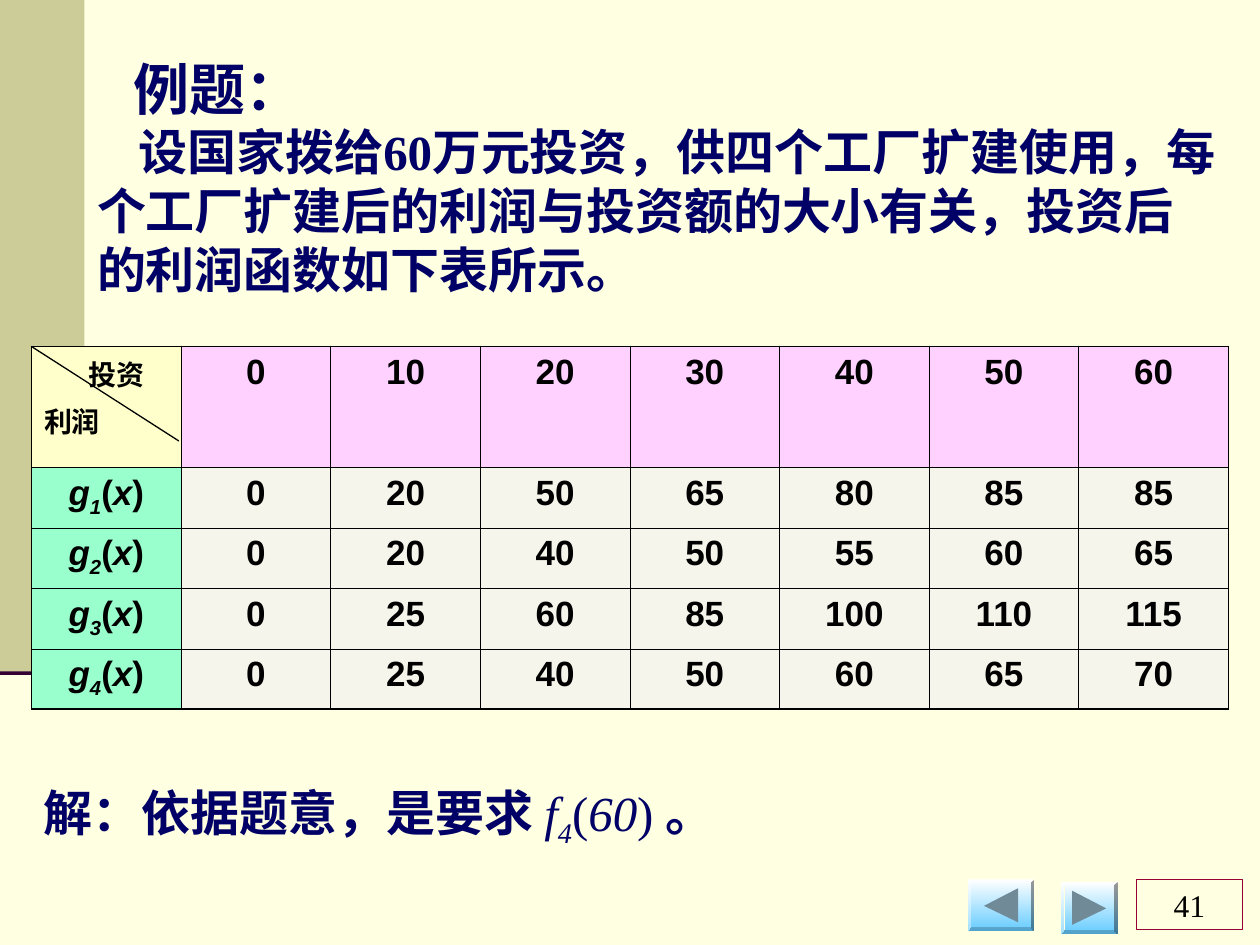
from lxml import etree
from pptx import Presentation
from pptx import util as u
from pptx.dml.color import RGBColor
from pptx.enum import shapes, text
from pptx.oxml.ns import qn

COLORS = {
    "background": "FFFFE1", "band": "CCCC99", "band_line": "330033",
    "navy": "000066", "black": "000000", "page_border": "990033",
    "button_top": "FFFFFF", "button_bottom": "66CCFF", "arrow": "708A98",
    "corner": "FFFFCC", "header": "FFD1FF", "label": "99FFCC", "value": "F5F5EB",
}
INVESTMENTS = [0, 10, 20, 30, 40, 50, 60]
PROFITS = [
    [0, 20, 50, 65, 80, 85, 85],
    [0, 20, 40, 50, 55, 60, 65],
    [0, 25, 60, 85, 100, 110, 115],
    [0, 25, 40, 50, 60, 65, 70],
]
SERIF, SANS = "Times New Roman", "Arial"
THIN, THICK = 0.45, 1.08


def color(name):
    return RGBColor.from_string(COLORS[name])


def inches(*values):
    return [u.Inches(value) for value in values]


def format_paragraph(paragraph, font_name, size, color_name, bold=None,
                     align=text.PP_ALIGN.LEFT, indent=0):
    paragraph.alignment = align
    if indent:
        paragraph._p.get_or_add_pPr().set("indent", str(u.Inches(indent)))
    font = paragraph.font
    font.name, font.size, font.bold = font_name, u.Pt(size), bold
    font.color.rgb = color(color_name)


def add_runs(paragraph, pieces):
    """Add (text, style) pieces; style letters: b bold, i italic, s subscript."""
    for content, style in pieces:
        run = paragraph.add_run()
        run.text = content
        run.font.bold = "b" in style
        run.font.italic = "i" in style
        if "s" in style:
            run.font._element.set("baseline", "-25000")


def add_line(slide, start, end, color_name, width):
    line = slide.shapes.add_connector(
        shapes.MSO_CONNECTOR.STRAIGHT, *inches(*start, *end))
    line.line.color.rgb = color(color_name)
    line.line.width = u.Pt(width)
    etree.SubElement(line._element.spPr, qn("a:effectLst"))


def add_preset(slide, preset, box):
    """Add a shape with no shadow, fill or line."""
    shape = slide.shapes.add_shape(preset, *inches(*box))
    shape.shadow.inherit = False
    shape.fill.background()
    shape.line.fill.background()
    return shape


def add_side_band(slide):
    add_line(slide, (0, 5.33), (0.67, 5.33), "band_line", 3.5)
    band = add_preset(slide, shapes.MSO_SHAPE.RECTANGLE, (0, 0, 0.67, 5.33))
    band.fill.solid()
    band.fill.fore_color.rgb = color("band")


def add_button(slide, box, points):
    """Add a bevelled button with a triangle through the given points."""
    button = add_preset(slide, shapes.MSO_SHAPE.BEVEL, box)
    button.adjustments[0] = 0.07
    button.fill.gradient()
    button.fill.gradient_angle = 270
    for stop, name in zip(button.fill.gradient_stops, ("button_top", "button_bottom")):
        stop.color.rgb = color(name)
    corners = [inches(*point) for point in points]
    builder = slide.shapes.build_freeform(*corners[0])
    builder.add_line_segments(corners[1:], close=True)
    triangle = builder.convert_to_shape()
    triangle.shadow.inherit = False
    triangle.fill.solid()
    triangle.fill.fore_color.rgb = color("arrow")
    triangle.line.fill.background()


def add_page_number(slide, number):
    box = add_preset(slide, shapes.MSO_SHAPE.RECTANGLE, (9.02, 6.98, 0.84, 0.4))
    box.line.color.rgb = color("page_border")
    box.line.width = u.Pt(0.75)
    box.text_frame.vertical_anchor = text.MSO_ANCHOR.MIDDLE
    paragraph = box.text_frame.paragraphs[0]
    paragraph.text = number
    format_paragraph(paragraph, SERIF, 18, "black", align=text.PP_ALIGN.CENTER)


def fill_problem(title):
    title.left, title.top, title.width, title.height = inches(0.67, 0.38, 9.08, 2.04)
    frame = title.text_frame
    frame.vertical_anchor = text.MSO_ANCHOR.TOP
    frame.auto_size = text.MSO_AUTO_SIZE.NONE
    frame.text = (
        "例题：\n设国家拨给60万元投资，供四个工厂扩建使用，"
        "每个工厂扩建后的利润与投资额的大小有关，投资后的利润函数如下表所示。")
    for paragraph, size, indent in zip(frame.paragraphs, (32, 28), (0.29, 0.33)):
        format_paragraph(paragraph, SERIF, size, "navy", True, indent=indent)


def set_borders(cell, widths):
    """Draw left, right, top and bottom borders; call before filling the cell."""
    properties = cell._tc.get_or_add_tcPr()
    for side, width in zip("LRTB", widths):
        border = etree.SubElement(
            properties, qn(f"a:ln{side}"), w=str(u.Pt(width)))
        fill = etree.SubElement(border, qn("a:solidFill"))
        etree.SubElement(fill, qn("a:srgbClr"), val=COLORS["black"])


def fill_cell(cell, row, column):
    paragraph = cell.text_frame.paragraphs[0]
    if row == column == 0:
        fill_name = "corner"
        cell.text_frame.text = "投资\n利润"
        for paragraph, indent in zip(cell.text_frame.paragraphs, (0.35, 0)):
            format_paragraph(paragraph, SANS, 16, "black", True, indent=indent)
        paragraph.space_before = u.Pt(4)
    else:
        if column == 0:
            fill_name = "label"
            add_runs(paragraph, [("g", "bi"), (str(row), "bis"), ("(", "b"),
                                 ("x", "bi"), (")", "b")])
        else:
            fill_name = "value" if row else "header"
            values = PROFITS[row - 1] if row else INVESTMENTS
            paragraph.text = str(values[column - 1])
        format_paragraph(paragraph, SANS, 20, "black", True, text.PP_ALIGN.CENTER)
    cell.fill.solid()
    cell.fill.fore_color.rgb = color(fill_name)


def add_profit_table(slide):
    rows, columns = len(PROFITS) + 1, len(INVESTMENTS) + 1
    table = slide.shapes.add_table(rows, columns, *inches(0.25, 2.75, 9.5, 2.88)).table
    for column in table.columns:
        column.width = u.Inches(9.5 / columns)
    for index, row in enumerate(table.rows):
        row.height = u.Inches(0.48 if index else 0.96)
        for position, cell in enumerate(row.cells):
            outer = (position == 0, position == columns - 1,
                     index == 0, index == rows - 1)
            set_borders(cell, [THICK if edge else THIN for edge in outer])
            fill_cell(cell, index, position)
    add_line(slide, (1.42, 3.5), (0.25, 2.75), "black", 0.75)


def add_solution(slide):
    frame = slide.shapes.add_textbox(*inches(0.25, 6.16, 9.5, 0.63)).text_frame
    frame.word_wrap = True
    paragraph = frame.paragraphs[0]
    add_runs(paragraph, [("解：依据题意，是要求 ", "b"), ("f", "i"), ("4", "is"),
                         ("(", ""), ("60", "i"), (") ", ""), ("。", "b")])
    format_paragraph(paragraph, SERIF, 28, "navy")


def main():
    presentation = Presentation()
    presentation.slide_width, presentation.slide_height = inches(10, 7.5)
    slide = presentation.slides.add_slide(presentation.slide_layouts[5])
    slide.background.fill.solid()
    slide.background.fill.fore_color.rgb = color("background")
    add_side_band(slide)
    add_button(slide, (7.68, 6.98, 0.53, 0.41),
               [(7.81, 7.19), (8.08, 7.05), (8.08, 7.32)])
    add_button(slide, (8.42, 7, 0.45, 0.41),
               [(8.51, 7.07), (8.78, 7.21), (8.51, 7.34)])
    add_page_number(slide, "41")
    fill_problem(slide.shapes.title)
    add_profit_table(slide)
    add_solution(slide)
    presentation.save("out.pptx")


if __name__ == "__main__":
    main()
